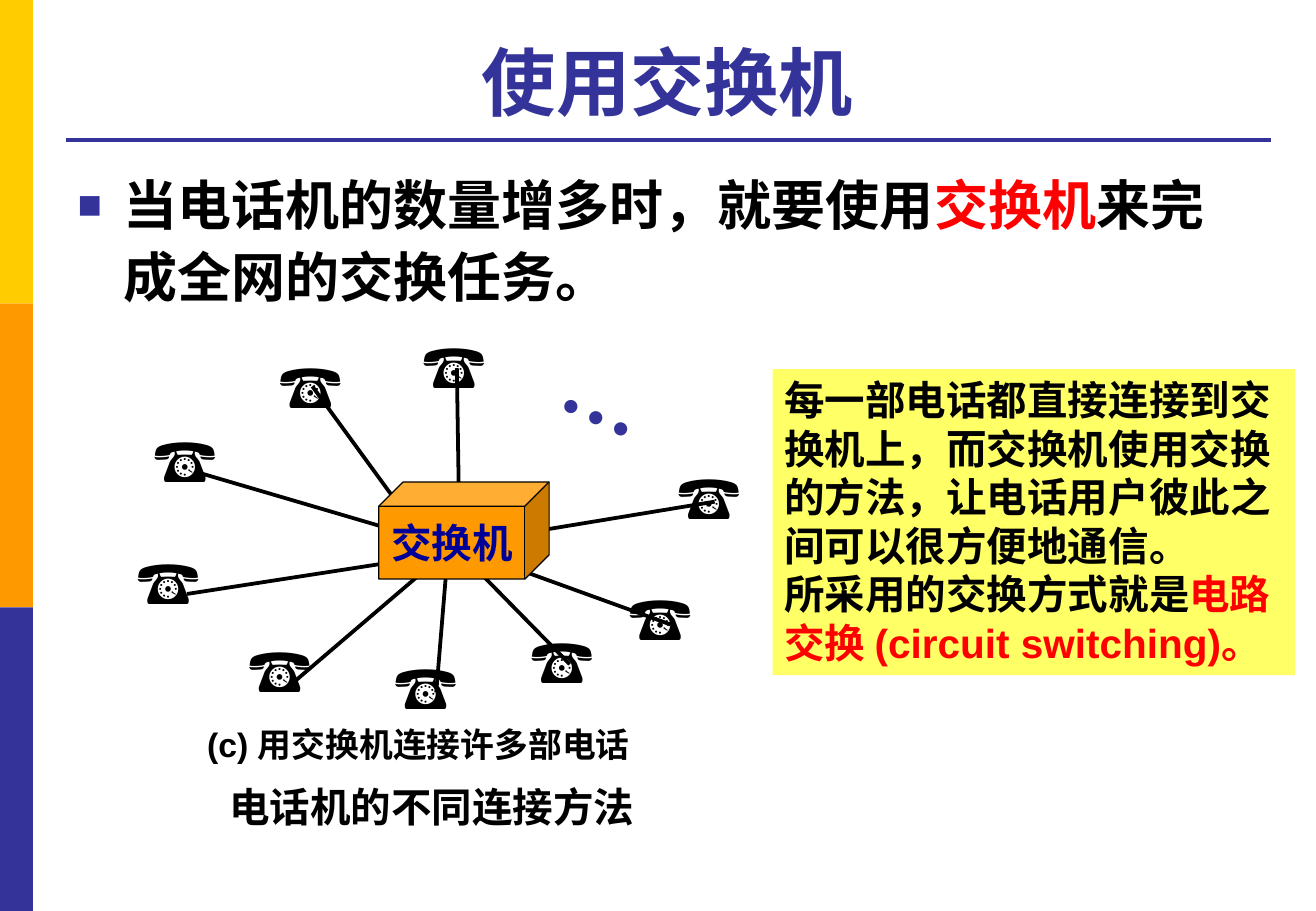
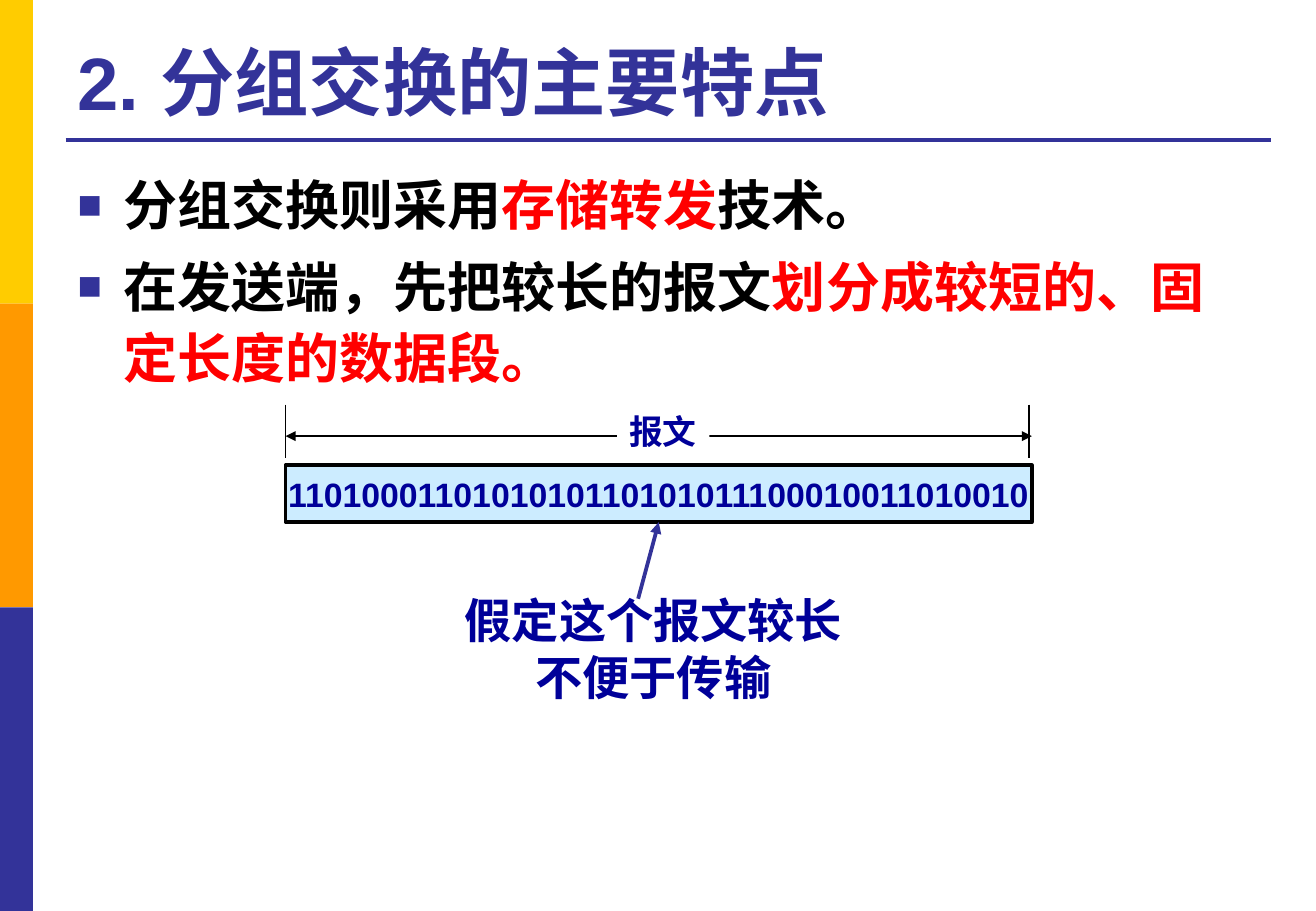
from pptx import Presentation
from pptx.dml.color import RGBColor
from pptx.enum.shapes import MSO_CONNECTOR, MSO_SHAPE
from pptx.enum.text import MSO_ANCHOR, MSO_AUTO_SIZE, PP_ALIGN
from pptx.oxml import parse_xml
from pptx.oxml.ns import nsdecls, qn
from pptx.util import Cm, Pt
from lxml.etree import SubElement

COLOURS = {
    "yellow": "FFCC00", "orange": "FF9900", "indigo": "333399",
    "navy": "000099", "black": "000000", "red": "FF0000",
    "note": "FFFF66", "message": "CCECFF", "white": "FFFFFF",
}
RGB = {name: RGBColor.from_string(value) for name, value in COLOURS.items()}


def write_text(frame, paragraphs, size=None, font=None, bold=None, align=None):
    for number, runs in enumerate(paragraphs):
        paragraph = frame.add_paragraph() if number else frame.paragraphs[0]
        if align is not None:
            paragraph.alignment = align
        for text, colour in runs:
            run = paragraph.add_run()
            run.text = text
            run.font.color.rgb = RGB[colour]
            run.font.bold = bold
            if size:
                run.font.size = Pt(size)
                run.font.name = font


def draw_line(slide, start, end, colour="black", width=2.25, arrows=()):
    line = slide.shapes.add_connector(
        MSO_CONNECTOR.STRAIGHT, *[Cm(value) for value in (*start, *end)])
    line.line.color.rgb = RGB[colour]
    line.line.width = Pt(width)
    for arrow in arrows:
        SubElement(line.line._get_or_add_ln(), qn(f"a:{arrow}")).set("type", "triangle")
    SubElement(line._element.spPr, qn("a:effectLst"))
    return line


prs = Presentation()
prs.slide_width, prs.slide_height = Cm(27.51), Cm(19.05)

styles = prs.slide_master._element.find(qn("p:txStyles"))
title_style = f"""<a:lvl1pPr {nsdecls('a')} algn="ctr"><a:spcBef><a:spcPct val="0"/></a:spcBef><a:buNone/>
<a:defRPr sz="4400" b="1"><a:solidFill><a:srgbClr val="{COLOURS['indigo']}"/></a:solidFill>
<a:latin typeface="Arial"/></a:defRPr></a:lvl1pPr>"""
body_style = f"""<a:lvl1pPr {nsdecls('a')} marL="{Cm(0.95)}" indent="{Cm(-0.95)}" algn="l">
<a:lnSpc><a:spcPct val="110000"/></a:lnSpc><a:spcBef><a:spcPts val="600"/></a:spcBef>
<a:buClr><a:srgbClr val="{COLOURS['indigo']}"/></a:buClr><a:buSzPct val="75000"/>
<a:buFont typeface="Arial"/><a:buChar char="■"/>
<a:defRPr sz="3200" b="1"><a:latin typeface="Arial"/></a:defRPr></a:lvl1pPr>"""
for tag, style in (("p:titleStyle", title_style), ("p:bodyStyle", body_style)):
    group = styles.find(qn(tag))
    group.replace(group.find(qn("a:lvl1pPr")), parse_xml(style))

layout = prs.slide_layouts[1]
for holder, top, height, anchor in zip(
        layout.placeholders, (0.53, 3.33), (2.21, 13.72), (MSO_ANCHOR.BOTTOM, MSO_ANCHOR.TOP)):
    holder.left, holder.top = Cm(1.37), Cm(top)
    holder.width, holder.height = Cm(25.17), Cm(height)
    holder.text_frame.vertical_anchor = anchor
    holder.text_frame.auto_size = MSO_AUTO_SIZE.NONE

switch_slide = prs.slides.add_slide(layout)
packet_slide = prs.slides.add_slide(layout)

decor = []
for row, colour in enumerate(("yellow", "orange", "indigo")):
    band = switch_slide.shapes.add_shape(
        MSO_SHAPE.RECTANGLE, 0, Cm(6.35 * row), Cm(0.69), Cm(6.35))
    band.shadow.inherit = False
    band.fill.solid()
    band.fill.fore_color.rgb = RGB[colour]
    band.line.fill.background()
    decor.append(band)
decor.append(draw_line(switch_slide, (1.37, 2.92), (26.57, 2.92), "indigo"))
for order, part in enumerate(decor):
    part._element.xpath(".//p:cNvPr")[0].set("id", str(20 + order))
    layout.shapes._spTree.insert(2 + order, part._element)

write_text(switch_slide.shapes.title.text_frame, [[("使用交换机", "indigo")]])
write_text(switch_slide.placeholders[1].text_frame, [[
    ("当电话机的数量增多时，就要使用", "black"), ("交换机", "red"),
    ("来完成全网的交换任务。", "black")]])

phones = [
    ((12.9, 11.99), (14.02, 13.06), (10.21, 11.68)),
    ((8, 13.44), (9.12, 14.48), (9.35, 11.68)),
    ((2.62, 11.25), (3.91, 12.42), (8.69, 11.68)),
    ((5.59, 7.14), (6.53, 8.08), (8.38, 10.62)),
    ((8.59, 6.73), (9.55, 7.7), (9.6, 10.9)),
    ((13.92, 9.47), (14.94, 10.49), (10.64, 11.2)),
    ((2.97, 8.69), (4.14, 9.88), (8.56, 11.18)),
    ((4.95, 13.08), (6.1, 14.3), (8.92, 11.89)),
    ((10.85, 12.9), (11.91, 13.89), (9.35, 11.28)),
]
for (left, top), wire_start, wire_end in phones:
    draw_line(switch_slide, wire_start, wire_end)
    phone = switch_slide.shapes.add_textbox(Cm(left), Cm(top), Cm(2.24), Cm(1.8))
    write_text(phone.text_frame, [[("☎", "black")]], 36, "Times New Roman")

more_phones = switch_slide.shapes.add_textbox(Cm(11.58), Cm(7.09), Cm(2.24), Cm(2.31))
more_phones.rotation = 24.3
write_text(more_phones.text_frame, [[("…", "indigo")]], 48, "Times New Roman", True)

switch = switch_slide.shapes.add_shape(MSO_SHAPE.CUBE, Cm(7.92), Cm(10.08), Cm(3.56), Cm(2.03))
switch.fill.solid()
switch.fill.fore_color.rgb = RGB["orange"]
switch.line.color.rgb = RGB["black"]
switch.line.width = Pt(0.75)
write_text(switch.text_frame, [[("交换机", "navy")]], 24, "Times New Roman", True, PP_ALIGN.CENTER)

note = switch_slide.shapes.add_textbox(Cm(16.15), Cm(7.72), Cm(10.92), Cm(6.4))
note.fill.solid()
note.fill.fore_color.rgb = RGB["note"]
note.text_frame.word_wrap = True
write_text(note.text_frame, [
    [("每一部电话都直接连接到交换机上，而交换机使用交换的方法，让电话用户彼此之间可以很方便地通信。", "black")],
    [("所采用的交换方式就是", "black"), ("电路交换 (circuit switching)。", "red")],
], 24, "Arial", True)

captions = [
    ("(c) 用交换机连接许多部电话", 20, (2.97, 15.01, 11.56, 1.12)),
    ("电话机的不同连接方法", 24, (1.32, 16.23, 15.42, 1.27)),
]
for text, size, box in captions:
    caption = switch_slide.shapes.add_textbox(*[Cm(value) for value in box])
    caption.text_frame.word_wrap = True
    write_text(caption.text_frame, [[(text, "black")]], size, "Arial", True, PP_ALIGN.CENTER)

write_text(packet_slide.shapes.title.text_frame,
           [[("2. 分组交换的主要特点", "indigo")]], align=PP_ALIGN.LEFT)
write_text(packet_slide.placeholders[1].text_frame, [
    [("分组交换则采用", "black"), ("存储转发", "red"), ("技术。", "black")],
    [("在发送端，先把较长的报文", "black"), ("划分成较短的、固定长度的数据段。", "red")],
])

draw_line(packet_slide, (5.97, 9.12), (21.57, 9.12), width=0.75, arrows=("headEnd", "tailEnd"))
for limit in (5.97, 21.51):
    draw_line(packet_slide, (limit, 8.46), (limit, 9.58), width=0.75)

length_label = packet_slide.shapes.add_textbox(Cm(12.9), Cm(8.46), Cm(1.93), Cm(1.12))
length_label.fill.solid()
length_label.fill.fore_color.rgb = RGB["white"]
write_text(length_label.text_frame, [[("报文", "navy")]], 20, "Times New Roman", True)

message = packet_slide.shapes.add_shape(
    MSO_SHAPE.RECTANGLE, Cm(5.97), Cm(9.73), Cm(15.6), Cm(1.19))
message.fill.solid()
message.fill.fore_color.rgb = RGB["message"]
message.line.color.rgb = RGB["black"]
message.line.width = Pt(2.25)
write_text(message.text_frame, [[("1101000110101010110101011100010011010010", "navy")]],
           20, "Arial", True, PP_ALIGN.CENTER)

for block in (switch, message):
    block.shadow.inherit = False
    block.text_frame.word_wrap = False
    block.text_frame.margin_left = block.text_frame.margin_right = 0

remark = packet_slide.shapes.add_textbox(Cm(9.42), Cm(12.24), Cm(8.48), Cm(2.64))
write_text(remark.text_frame, [[("假定这个报文较长", "navy")], [("不便于传输", "navy")]],
           28, "Karla", True, PP_ALIGN.CENTER)
pointer = draw_line(packet_slide, (13.34, 12.52), (13.77, 10.92), "indigo", arrows=("tailEnd",))
pointer.end_connect(message, 2)

prs.save("out.pptx")
